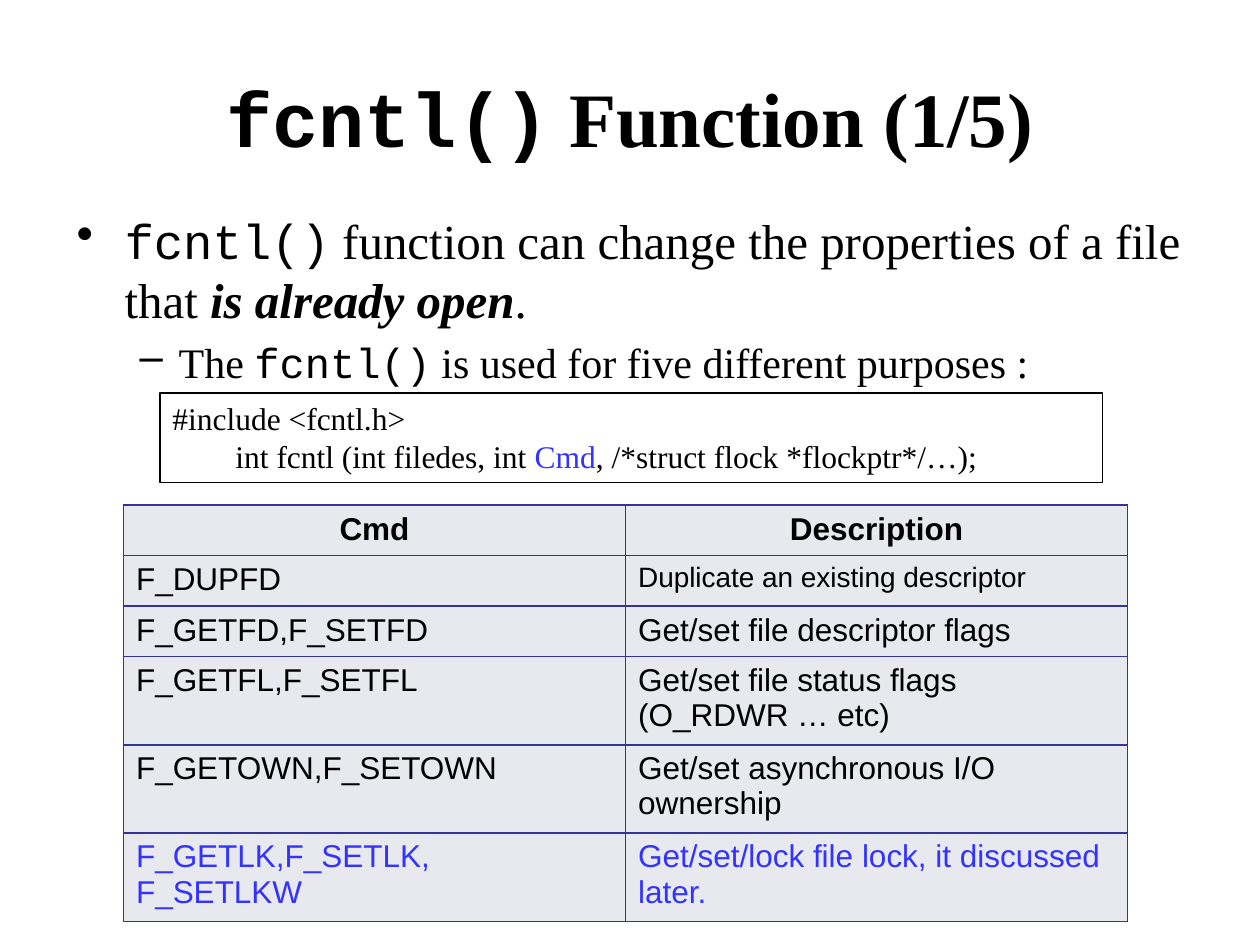
from dataclasses import dataclass

from pptx import Presentation
from pptx.dml.color import RGBColor
from pptx.enum import shapes, text
from pptx.oxml import parse_xml
from pptx.oxml.ns import nsdecls
from pptx.util import Inches, Pt


@dataclass(frozen=True)
class Theme:
    ink: str = "000000"
    accent: str = "3333FF"
    grid: str = "333399"
    fill: str = "E8E8EF"
    serif: str = "Times New Roman"
    mono: str = "Courier New"
    sans: str = "Arial"
    title: int = 44
    body: int = 28
    sub: int = 24
    code: int = 18
    small: int = 16


T = Theme()
ROWS = [
    ("Cmd", "Description"),
    ("F_DUPFD", "Duplicate an existing descriptor"),
    ("F_GETFD,F_SETFD", "Get/set file descriptor flags"),
    ("F_GETFL,F_SETFL", "Get/set file status flags (O_RDWR … etc)"),
    ("F_GETOWN,F_SETOWN", "Get/set asynchronous I/O ownership"),
    ("F_GETLK,F_SETLK,\vF_SETLKW",
     "Get/set/lock file lock, it discussed later."),
]
HEIGHTS = [0.4, 0.4, 0.4, 0.7, 0.7, 0.7]


def rgb(code):
    return RGBColor.from_string(code)


def style(para, size, face=T.serif, color=T.ink, bold=False):
    font = para.font
    font.size, font.name, font.bold = Pt(size), face, bold
    font.color.rgb = rgb(color)


def add_run(para, words, face=None):
    run = para.add_run()
    run.text = words
    if face:
        run.font.name = face
    return run


def add_frame(slide, box):
    frame = slide.shapes.add_textbox(*map(Inches, box)).text_frame
    frame.word_wrap = True
    return frame


def set_bullet(para, mark, left, hang):
    """Give a paragraph a hanging bullet; lengths are in inches."""
    props = para._p.get_or_add_pPr()
    props.set("marL", str(Inches(left)))
    props.set("indent", str(Inches(-hang)))
    props.append(parse_xml(f'<a:buChar {nsdecls("a")} char="{mark}"/>'))


def add_title(slide, box):
    frame = add_frame(slide, box)
    frame.vertical_anchor = text.MSO_ANCHOR.MIDDLE
    para = frame.paragraphs[0]
    para.alignment = text.PP_ALIGN.CENTER
    style(para, T.title, bold=True)
    add_run(para, "fcntl()", T.mono)
    add_run(para, " Function (1/5)")


def add_body(slide, box):
    frame = add_frame(slide, box)
    main, sub = frame.paragraphs[0], frame.add_paragraph()
    sub.level = 1
    for para, size, mark, left, hang in (
            (main, T.body, "•", 0.38, 0.38), (sub, T.sub, "–", 0.81, 0.31)):
        style(para, size)
        para.space_before = Pt(size * 0.2)
        set_bullet(para, mark, left, hang)
    add_run(main, "fcntl()", T.mono)
    add_run(main, " function can change the properties of a file that ")
    strong = add_run(main, "is already open").font
    strong.bold = strong.italic = True
    add_run(main, ".")
    add_run(sub, "The ")
    add_run(sub, "fcntl()", T.mono)
    add_run(sub, " is used for five different purposes :")


def add_code(slide, box):
    shape = slide.shapes.add_shape(
        shapes.MSO_SHAPE.RECTANGLE, *map(Inches, box))
    shape.shadow.inherit = False
    shape.fill.background()
    shape.line.color.rgb = rgb(T.ink)
    shape.line.width = Pt(0.75)
    frame = shape.text_frame
    frame.word_wrap = True
    frame.vertical_anchor = text.MSO_ANCHOR.TOP
    para = frame.paragraphs[0]
    para.alignment = text.PP_ALIGN.LEFT
    style(para, T.code)
    add_run(para, "#include <fcntl.h>")
    para.add_line_break()
    add_run(para, "\tint fcntl (int filedes, int ")
    add_run(para, "Cmd").font.color.rgb = rgb(T.accent)
    add_run(para, ", /*struct flock *flockptr*/…);")


def set_borders(cell):
    props = cell._tc.get_or_add_tcPr()
    for i, side in enumerate(("lnL", "lnR", "lnT", "lnB")):
        props.insert(i, parse_xml(
            f'<a:{side} {nsdecls("a")} w="{Pt(1)}"><a:solidFill>'
            f'<a:srgbClr val="{T.grid}"/></a:solidFill></a:{side}>'))


def add_grid(slide, box):
    table = slide.shapes.add_table(
        len(ROWS), len(ROWS[0]), *map(Inches, box)).table
    for row, height in zip(table.rows, HEIGHTS):
        row.height = Inches(height)
    for r, line in enumerate(ROWS):
        for c, words in enumerate(line):
            cell = table.cell(r, c)
            cell.fill.solid()
            cell.fill.fore_color.rgb = rgb(T.fill)
            set_borders(cell)
            para = cell.text_frame.paragraphs[0]
            para.text = words
            if r == 0:
                para.alignment = text.PP_ALIGN.CENTER
            style(para, T.small if (r, c) == (1, 1) else T.code, T.sans,
                  T.accent if r == len(ROWS) - 1 else T.ink, r == 0)


def main():
    deck = Presentation()
    deck.slide_width, deck.slide_height = Inches(10), Inches(7.5)
    slide = deck.slides.add_slide(deck.slide_layouts[6])
    add_title(slide, (0.5, 0.3, 9, 1.25))
    add_body(slide, (0.51, 1.62, 9.15, 4.95))
    add_code(slide, (1.27, 3.12, 7.48, 0.71))
    add_grid(slide, (0.98, 4.01, 7.97, sum(HEIGHTS)))
    deck.save("out.pptx")


if __name__ == "__main__":
    main()
